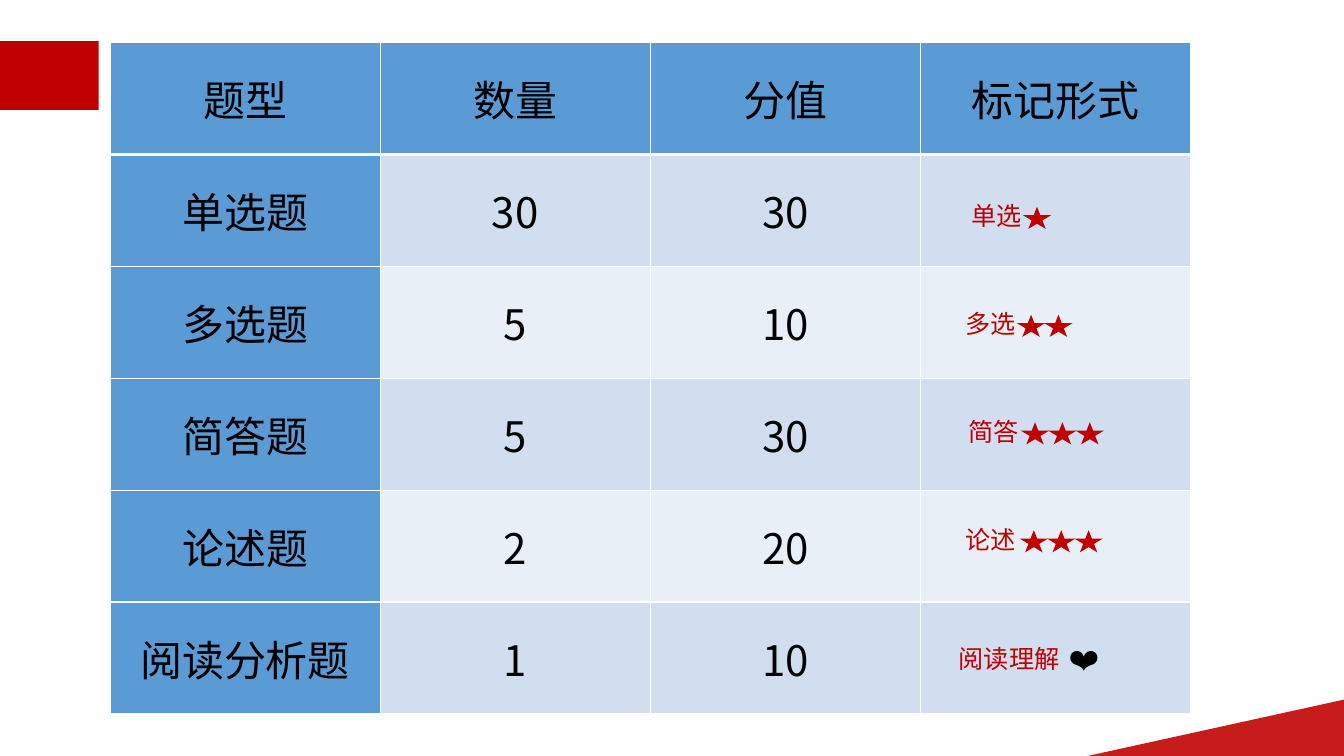
from lxml import etree
from pptx import Presentation
from pptx.dml.color import RGBColor
from pptx.enum.shapes import MSO_SHAPE
from pptx.enum.text import MSO_ANCHOR, PP_ALIGN
from pptx.oxml.ns import qn
from pptx.util import Cm, Pt

RECT, STAR = MSO_SHAPE.RECTANGLE, MSO_SHAPE.STAR_5_POINT
CENTER, MIDDLE = PP_ALIGN.CENTER, MSO_ANCHOR.MIDDLE

ROWS = [
    ("题型", "数量", "分值", "标记形式"),
    ("单选题", "30", "30", ""),
    ("多选题", "5", "10", ""),
    ("简答题", "5", "30", ""),
    ("论述题", "2", "20", ""),
    ("阅读分析题", "1", "10", "❤️"),
]
# label, left, top, width, left of first star, number of stars (cm)
MARKS = [
    ("单选", 24.36, 4.93, 1.55, 25.78, 1),
    ("多选", 24.21, 7.65, 1.55, 25.63, 2),
    ("简答", 24.28, 10.36, 1.55, 25.73, 3),
    ("论述", 24.21, 13.08, 1.55, 25.7, 3),
    ("阅读理解", 24.03, 16.08, 2.82, 0, 0),
]
WEDGE = [(33.87, 19.05), (33.87, 17.63), (27.41, 19.05)]

FONT, LABEL_FONT = "Noto Sans CJK SC", "Calibri"
RED, MARK_RED, BLACK, WHITE = "C00000", "BE0000", "000000", "FFFFFF"
BLUE, BANDS = "5B9BD5", ("E9EFF7", "D0DEEF")
TABLE_LEFT, TABLE_TOP, COL_W, ROW_H = 2.77, 1.07, 6.81, 2.82
STAR_W, STAR_H, STAR_STEP, STAR_DROP = 0.71, 0.56, 0.69, 0.28
HEART_INDENT = 1.42


def paint(target, color):
    target.fill.solid()
    target.fill.fore_color.rgb = RGBColor.from_string(color)


def add_shape(kind, left, top, width, height, color):
    sp = slide.shapes.add_shape(kind, Cm(left), Cm(top), Cm(width), Cm(height))
    sp.shadow.inherit = False
    sp.line.fill.background()
    paint(sp, color)
    return sp


def style(p, size, font, color):
    for r in p.runs:
        r.font.size = Pt(size)
        r.font.color.rgb = RGBColor.from_string(color)
        r.font.name = font
        etree.SubElement(r.font._element, qn("a:ea"), typeface=FONT)


def set_borders(cell, **widths):
    """Draw white cell borders; widths are points by side (L, R, T, B)."""
    tc_pr = cell._tc.get_or_add_tcPr()
    for i, (side, width) in enumerate(widths.items()):
        ln = etree.Element(qn("a:ln" + side), w=str(Pt(width)))
        fill = etree.SubElement(ln, qn("a:solidFill"))
        etree.SubElement(fill, qn("a:srgbClr"), val=WHITE)
        tc_pr.insert(i, ln)


def add_wedge():
    points = [(Cm(x), Cm(y)) for x, y in WEDGE]
    builder = slide.shapes.build_freeform(*points[0])
    builder.add_line_segments(points[1:], close=True)
    sp = builder.convert_to_shape()
    sp.shadow.inherit = False
    sp.line.fill.background()
    paint(sp, RED)
    color = sp._element.spPr.find(qn("a:solidFill"))[0]
    etree.SubElement(color, qn("a:alpha"), val="89000")


def add_question_table():
    n_rows, n_cols = len(ROWS), len(ROWS[0])
    table = slide.shapes.add_table(
        n_rows, n_cols, Cm(TABLE_LEFT), Cm(TABLE_TOP),
        Cm(COL_W * n_cols), Cm(ROW_H * n_rows)).table
    table.first_row = table.horz_banding = False
    for column in table.columns:
        column.width = Cm(COL_W)
    for i, row in enumerate(ROWS):
        table.rows[i].height = Cm(ROW_H)
        for j, text in enumerate(row):
            cell = table.cell(i, j)
            cell.margin_left = cell.margin_right = 0
            cell.margin_top = cell.margin_bottom = 0
            cell.vertical_anchor = MIDDLE
            cell.text = text
            p = cell.text_frame.paragraphs[0]
            p.alignment = CENTER
            style(p, 30, FONT, BLACK)
            paint(cell, BLUE if i == 0 or j == 0 else BANDS[i % 2])
            set_borders(cell, L=1, R=1, T=3 if i == 1 else 1, B=3 if i == 0 else 1)
    heart = table.cell(n_rows - 1, n_cols - 1)
    heart.margin_left = Cm(HEART_INDENT)
    heart.text_frame.paragraphs[0].runs[0].font.size = Pt(23)


def add_mark(label, left, top, width, star_left, stars):
    box = slide.shapes.add_textbox(Cm(left), Cm(top), Cm(width), Cm(1.14))
    tf = box.text_frame
    tf.word_wrap = False
    tf.margin_left = tf.margin_right = tf.margin_top = tf.margin_bottom = Cm(0.13)
    tf.text = label
    style(tf.paragraphs[0], 18, LABEL_FONT, MARK_RED)
    for k in range(stars):
        add_shape(STAR, star_left + k * STAR_STEP, top + STAR_DROP,
                  STAR_W, STAR_H, MARK_RED)


prs = Presentation()
prs.slide_width, prs.slide_height = Cm(33.87), Cm(19.05)
slide = prs.slides.add_slide(prs.slide_layouts[6])

add_wedge()
add_shape(RECT, 0, 1.04, 2.49, 1.73, RED)
add_question_table()
for mark in MARKS:
    add_mark(*mark)

prs.save("out.pptx")
